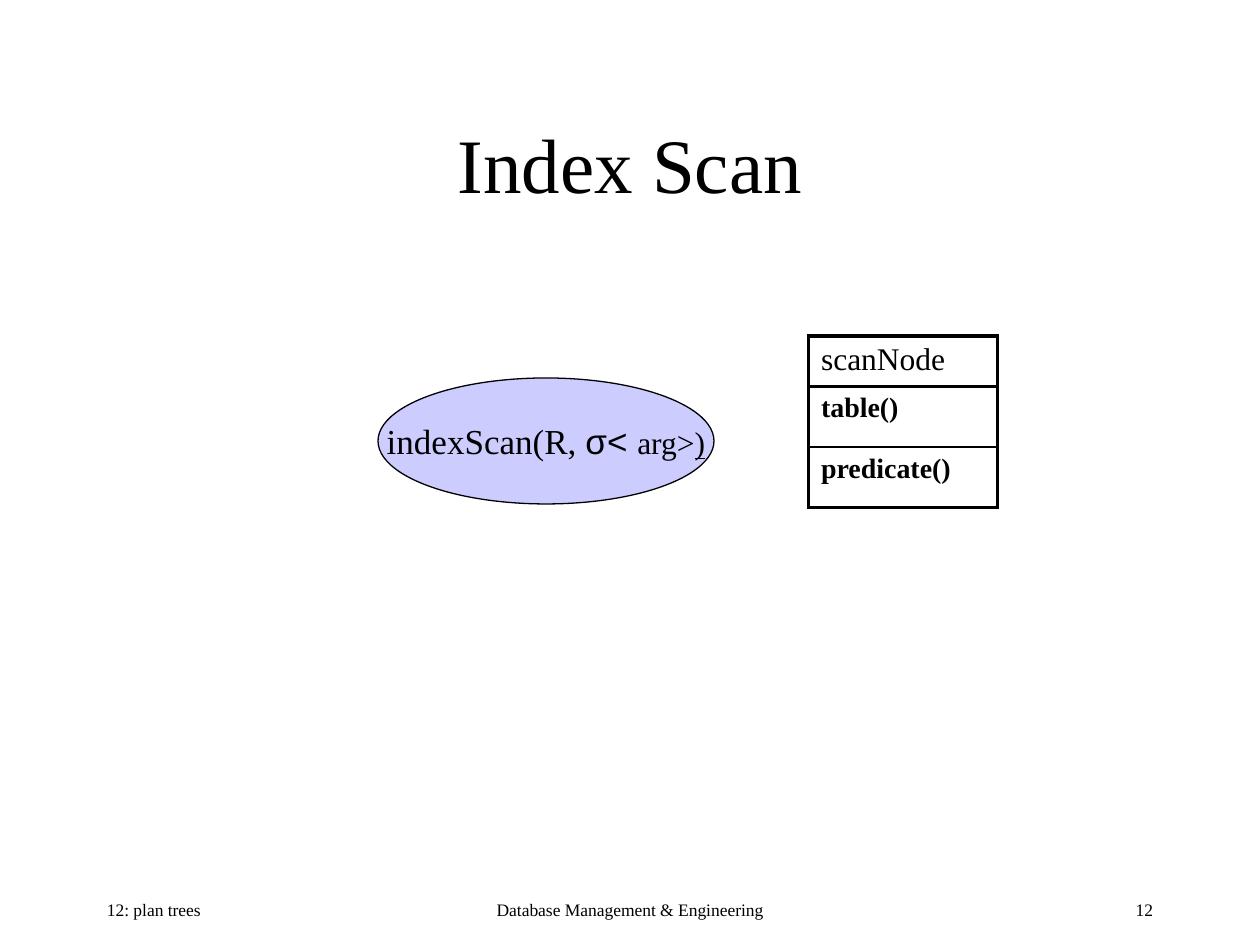
"""Build the Index Scan slide with its plan node and class table."""
import pptx
import pptx.dml.color
import pptx.enum.shapes
import pptx.enum.text
import pptx.oxml
import pptx.oxml.ns
import pptx.util

Align = pptx.enum.text.PP_ALIGN
Anchor = pptx.enum.text.MSO_ANCHOR
COLUMN = ROW = pptx.util.Inches(1 / 12)


def colour(hex_value):
    return pptx.dml.color.RGBColor.from_string(hex_value)


def write(paragraph, words, size, **formats):
    run = paragraph.add_run()
    run.text = words
    run.font.color.rgb = colour("000000")
    settings = {"name": "Times New Roman", "size": pptx.util.Pt(size), **formats}
    for setting, value in settings.items():
        setattr(run.font, setting, value)


deck = pptx.Presentation()
deck.slide_width, deck.slide_height = 120 * COLUMN, 90 * ROW
slide = deck.slides.add_slide(deck.slide_layouts[6])

captions = [
    ("12: plan trees", 9, 85, 25, 3, 10, Align.LEFT, Anchor.TOP),
    ("Database Management & Engineering", 41, 85, 38, 3, 10, Align.CENTER, Anchor.TOP),
    ("12", 86, 85, 25, 3, 10, Align.RIGHT, Anchor.TOP),
    ("Index Scan", 9, 8, 102, 15, 44, Align.CENTER, Anchor.MIDDLE),
]
for words, left, top, width, height, size, alignment, anchor in captions:
    caption = slide.shapes.add_textbox(left * COLUMN, top * ROW, width * COLUMN, height * ROW)
    caption.text_frame.word_wrap = True
    caption.text_frame.vertical_anchor = anchor
    caption.text_frame.paragraphs[0].alignment = alignment
    write(caption.text_frame.paragraphs[0], words, size)

members = [
    ("scanNode", 18, False, 0.4, 2.25, 2.25),
    ("table()", 16, True, 0.48, 2.25, 1),
    ("predicate()", 16, True, 0.48, 1, 2.25),
]
node_class = slide.shapes.add_table(
    len(members), 1, 77 * COLUMN, 32 * ROW, 18 * COLUMN, pptx.util.Inches(1.36)
).table
node_class.first_row = node_class.horz_banding = False
for index, (member, size, bold, height, above, below) in enumerate(members):
    node_class.rows[index].height = pptx.util.Inches(height)
    cell = node_class.cell(index, 0)
    write(cell.text_frame.paragraphs[0], member, size, bold=bold)
    borders = {"lnL": 2.25, "lnR": 2.25, "lnT": above, "lnB": below}
    for side, weight in borders.items():
        cell._tc.get_or_add_tcPr().append(pptx.oxml.parse_xml(
            f'<a:{side} {pptx.oxml.ns.nsdecls("a")} w="{pptx.util.Pt(weight)}">'
            f'<a:solidFill><a:srgbClr val="000000"/></a:solidFill></a:{side}>'))
    cell.fill.background()

plan_node = slide.shapes.add_shape(
    pptx.enum.shapes.MSO_SHAPE.OVAL, 36 * COLUMN, 36 * ROW, 32 * COLUMN, 12 * ROW)
plan_node.shadow.inherit = False
plan_node.fill.solid()
plan_node.fill.fore_color.rgb = colour("CCCCFF")
plan_node.line.color.rgb = colour("000000")
plan_node.line.width = pptx.util.Pt(0.75)
plan_node.text_frame.word_wrap = False
plan_node.text_frame.vertical_anchor = Anchor.MIDDLE
call = plan_node.text_frame.paragraphs[0]
call.alignment = Align.CENTER
write(call, "indexScan(R, ", 20)
write(call, "σ< ", 20, name="Arial")
write(call, "arg>", 18)
write(call, ")", 18, underline=True)

deck.save("out.pptx")
